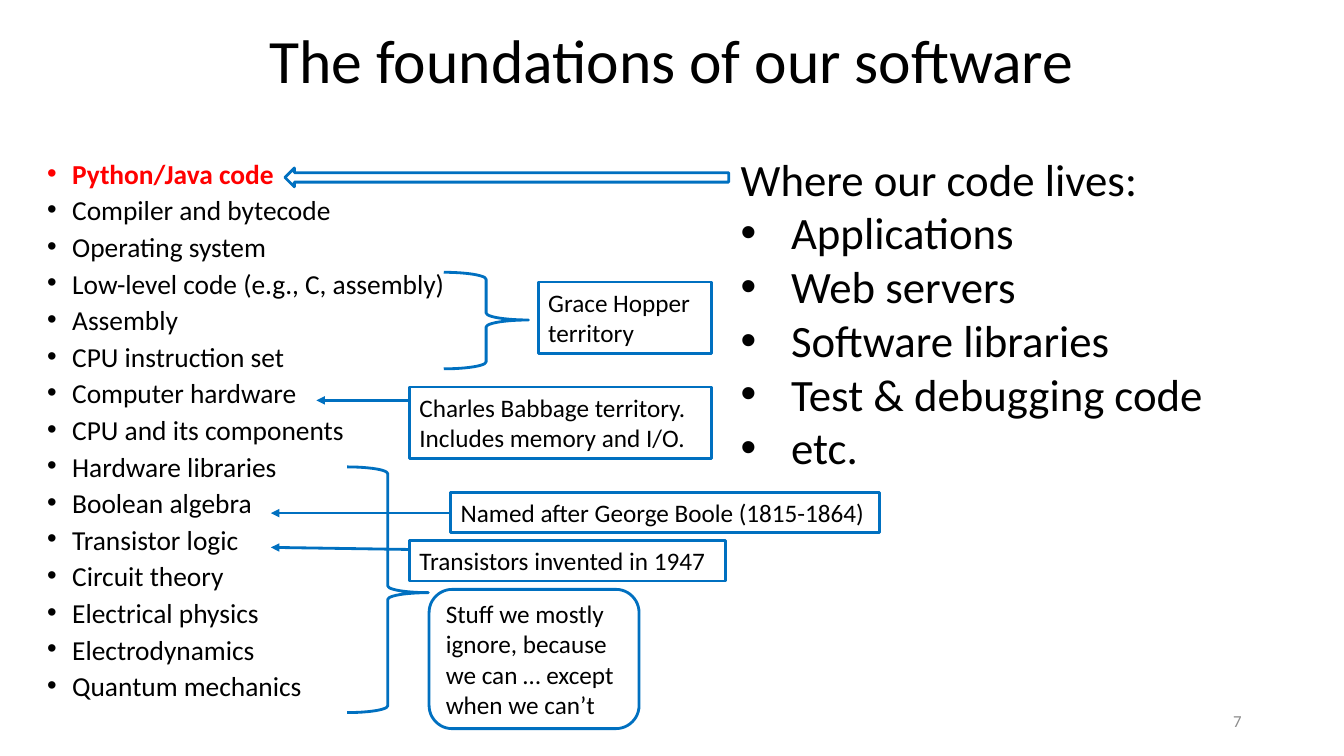
import pptx
import pptx.util
import pptx.dml.color
import pptx.enum.shapes
import pptx.enum.text
import pptx.oxml.ns
from lxml import etree

Pt = pptx.util.Pt
MSO = pptx.enum.shapes.MSO_SHAPE
ANCHOR = pptx.enum.text.MSO_ANCHOR
ALIGN = pptx.enum.text.PP_ALIGN
qn = pptx.oxml.ns.qn


def rgb(value):
    return pptx.dml.color.RGBColor.from_string(value)


class Deck:
    font, black, red, grey, blue = "Calibri", "000000", "FF0000", "8C8C8C", "0070C0"
    line_width = 2

    def __init__(self, slide):
        self.s = slide

    def place(self, sp, box):
        sp.left, sp.top, sp.width, sp.height = map(Pt, box)

    def outline(self, sp):
        sp.line.color.rgb = rgb(self.blue)
        sp.line.width = Pt(self.line_width)

    def run(self, p, text, size, color=black, bold=False):
        r = p.add_run()
        r.text = text
        r.font.name, r.font.size, r.font.bold = self.font, Pt(size), bold
        r.font.color.rgb = rgb(color)

    def bullet(self, p, indent):
        pPr = p._p.get_or_add_pPr()
        pPr.set("marL", str(Pt(indent)))
        pPr.set("indent", str(-Pt(indent)))
        etree.SubElement(pPr, qn("a:buFont")).set("typeface", "Arial")
        etree.SubElement(pPr, qn("a:buChar")).set("char", "•")

    def paragraphs(self, tf, lines, size, align=ALIGN.LEFT):
        """Write the lines into an empty text frame and return the paragraphs."""
        for i, text in enumerate(lines):
            p = tf.add_paragraph() if i else tf.paragraphs[0]
            p.alignment = align
            self.run(p, text, size)
        return tf.paragraphs

    def title(self, box, text, size):
        sp = self.s.shapes.title
        self.place(sp, box)
        tf = sp.text_frame
        tf.vertical_anchor = ANCHOR.MIDDLE
        p, = self.paragraphs(tf, [text], size, ALIGN.CENTER)
        p.line_spacing = 0.9

    def text(self, box, lines, size, align=ALIGN.LEFT, anchor=ANCHOR.TOP):
        tf = self.s.shapes.add_textbox(*map(Pt, box)).text_frame
        tf.word_wrap, tf.vertical_anchor = True, anchor
        return self.paragraphs(tf, lines, size, align)

    def shape(self, kind, box, adjustments=()):
        sp = self.s.shapes.add_shape(kind, *map(Pt, box))
        sp.shadow.inherit = False
        sp.fill.background()
        self.outline(sp)
        for i, value in enumerate(adjustments):
            sp.adjustments[i] = value
        return sp

    def note(self, box, lines, kind=MSO.RECTANGLE, anchor=ANCHOR.TOP, wrap=True):
        tf = self.shape(kind, box).text_frame
        tf.word_wrap, tf.vertical_anchor = wrap, anchor
        self.paragraphs(tf, lines, 18)

    def arrow(self, x1, y1, x2, y2):
        c = self.s.shapes.add_connector(
            pptx.enum.shapes.MSO_CONNECTOR.STRAIGHT, *map(Pt, (x1, y1, x2, y2)))
        self.outline(c)
        etree.SubElement(c.line._get_or_add_ln(), qn("a:tailEnd")).set("type", "triangle")
        etree.SubElement(c._element.spPr, qn("a:effectLst"))


prs = pptx.Presentation()
prs.slide_width, prs.slide_height = Pt(960), Pt(540)
d = Deck(prs.slides.add_slide(prs.slide_layouts[5]))

# Title
d.title((66, 3, 828, 85), "The foundations of our software", 44)

# Layers of the software stack
layers = ["Python/Java code", "Compiler and bytecode", "Operating system",
          "Low-level code (e.g., C, assembly)", "Assembly", "CPU instruction set",
          "Computer hardware", "CPU and its components", "Hardware libraries",
          "Boolean algebra", "Transistor logic", "Circuit theory",
          "Electrical physics", "Electrodynamics", "Quantum mechanics"]
stack = d.text((26.5, 115, 327.5, 403), layers, 19.6)
for p in stack:
    p.line_spacing, p.space_before = 0.7, Pt(9.7)
    d.bullet(p, 18)
top_layer = stack[0].runs[0].font
top_layer.bold, top_layer.color.rgb = True, rgb(d.red)

# Brace over the ignored layers, and arrow to the top layer
d.shape(MSO.RIGHT_BRACE, (248, 333.5, 58, 175.5), (0.083, 0.512))
d.shape(MSO.LEFT_ARROW, (203.5, 120, 317, 13.5))

# Where the code lives
places = d.text((522, 104.5, 437, 240),
                ["Where our code lives:", "Applications", "Web servers",
                 "Software libraries", "Test & debugging code", "etc."], 32)
for p in places[1:]:
    d.bullet(p, 36)

# Notes with their brace and arrows
d.note((306.5, 421, 150, 99.5),
       ["Stuff we mostly", "ignore, because we can … except", "when we can’t"],
       MSO.ROUNDED_RECTANGLE, ANCHOR.MIDDLE)
d.note((292.5, 276.5, 216, 51),
       ["Charles Babbage territory.", "Includes memory and I/O."])
d.arrow(292.5, 286, 226, 286)
d.note((384.5, 201.5, 124, 51), ["Grace Hopper", "territory"])
d.shape(MSO.RIGHT_BRACE, (317, 194.5, 60.5, 69), (0.083, 0.494))
d.note((292.5, 386, 225.5, 29), ["Transistors invented in 1947"], wrap=False)
d.arrow(293, 392.5, 193.5, 391)
d.note((322, 351.5, 306.5, 29), ["Named after George Boole (1815-1864)"], wrap=False)
d.arrow(322, 366.5, 193.5, 366.5)

# Slide number
number, = d.text((678, 500.5, 216, 29), ["7"], 12, ALIGN.RIGHT, ANCHOR.MIDDLE)
number.runs[0].font.color.rgb = rgb(d.grey)

prs.save("out.pptx")
